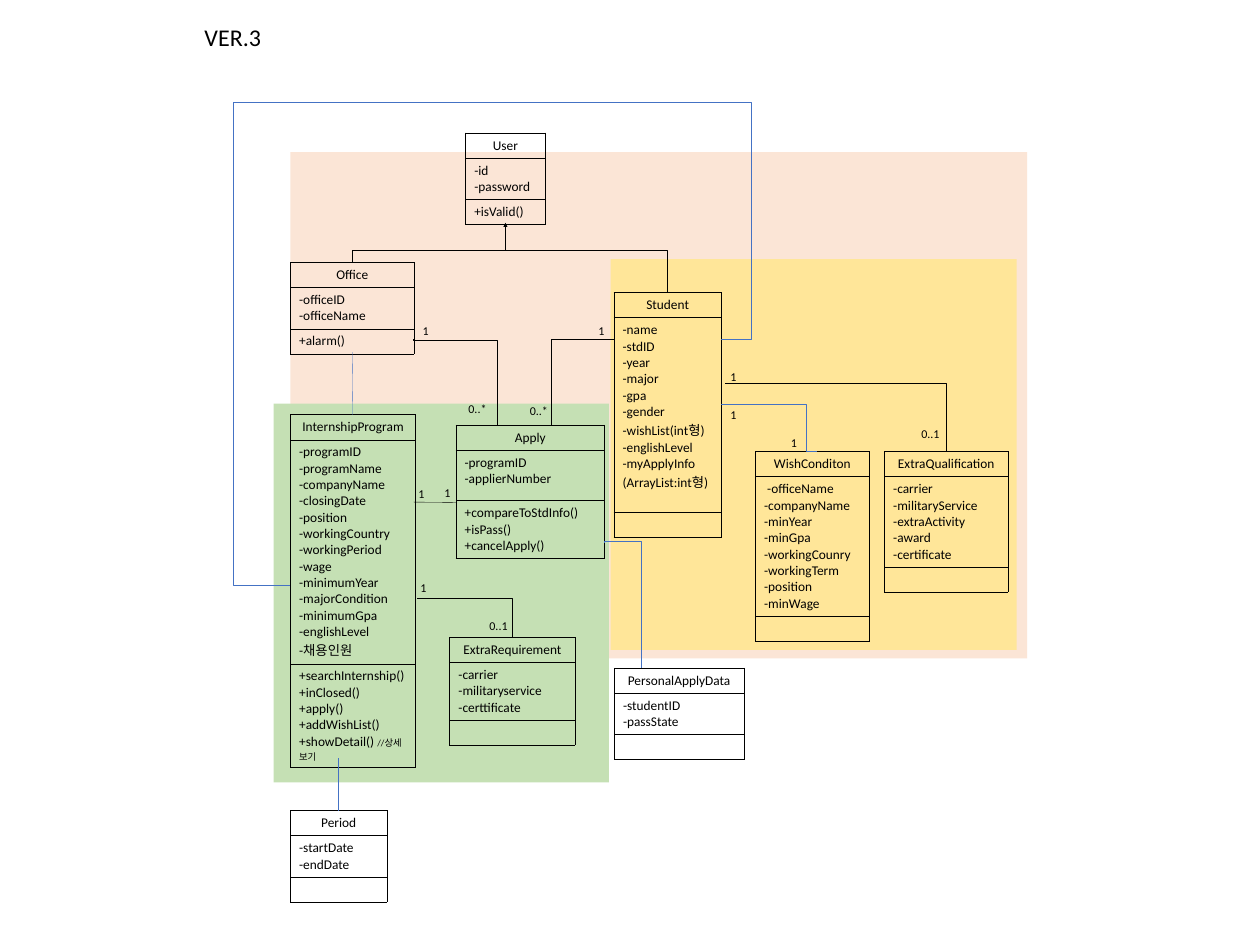
import pptx
import pptx.util
import pptx.dml.color
import pptx.enum.shapes
import pptx.enum.text
import pptx.oxml
import pptx.oxml.ns

Cm, Pt = pptx.util.Cm, pptx.util.Pt
qn = pptx.oxml.ns.qn
ALIGN = pptx.enum.text.PP_ALIGN
COLORS = {"black": "000000", "blue": "4472C4", "peach": "FBE5D6",
          "yellow": "FFE699", "green": "C5E0B4"}
rgb = {name: pptx.dml.color.RGBColor.from_string(c) for name, c in COLORS.items()}
LINE_HEIGHT, CELL_PADDING = 0.86, 0.46

prs = pptx.Presentation()
prs.slide_width, prs.slide_height = Cm(66.68), Cm(50.01)
s = prs.slides.add_slide(prs.slide_layouts[6])


def add_run(p, text, size):
    r = p.add_run()
    r.text = text
    for name, value in {"name": "Calibri", "size": Pt(size)}.items():
        setattr(r.font, name, value)
    r.font.color.rgb = rgb["black"]


def add_link(color, x1, y1, x2, y2, preset, adjust=None, vertical=False):
    """Connector; a vertical one leaves its start downwards, so its box is turned."""
    bx1, by1, bx2, by2 = x1, y1, x2, y2
    if vertical:
        cx, cy = (x1 + x2) / 2, (y1 + y2) / 2
        half_w, half_h = abs(y2 - y1) / 2, abs(x2 - x1) / 2
        bx1, by1, bx2, by2 = cx - half_w, cy - half_h, cx + half_w, cy + half_h
    link = s.shapes.add_connector(pptx.enum.shapes.MSO_CONNECTOR.STRAIGHT,
                                  Cm(bx1), Cm(by1), Cm(bx2), Cm(by2))
    link.line.color.rgb = rgb[color]
    link.line.width = Pt(0.5)
    sp_pr = link._element.spPr
    sp_pr.append(pptx.oxml.parse_xml(
        f'<a:effectLst {pptx.oxml.ns.nsdecls("a")}/>'))
    geometry = sp_pr.find(qn("a:prstGeom"))
    geometry.set("prst", preset)
    if adjust is not None:
        geometry.find(qn("a:avLst")).append(pptx.oxml.parse_xml(
            f'<a:gd {pptx.oxml.ns.nsdecls("a")} name="adj1" fmla="val {adjust}"/>'))
    if vertical:
        xfrm = sp_pr.find(qn("a:xfrm"))
        xfrm.set("rot", str((270 if x2 > x1 else 90) * 60000))
        if x2 > x1:
            xfrm.set("flipH", "1")
    return link


# Package areas
for color, x, y, w, h in [("peach", 15.37, 8.05, 38.99, 26.8),
                          ("yellow", 32.31, 13.72, 21.49, 20.68),
                          ("green", 14.48, 21.36, 17.75, 20.04)]:
    area = s.shapes.add_shape(pptx.enum.shapes.MSO_SHAPE.RECTANGLE,
                              Cm(x), Cm(y), Cm(w), Cm(h))
    area.shadow.inherit = False
    area.fill.solid()
    area.fill.fore_color.rgb = rgb[color]
    area.line.fill.background()

# Classes: name, left, top, width, attributes, operations
classes = [
    ("User", 24.64, 7.04, 4.22, ["-id", "-password"], ["+isValid()"]),
    ("Office", 15.37, 13.89, 6.55, ["-officeID", "-officeName"], ["+alarm()"]),
    ("Apply", 24.13, 22.5, 7.87, ["-programID", "-applierNumber"],
     ["+compareToStdInfo()", "+isPass()", "+cancelApply()"]),
    ("Student", 32.49, 15.49, 5.69,
     ["-name", "-stdID", "-year", "-major", "-gpa", "-gender", "-wishList(int형)",
      "-englishLevel", "-myApplyInfo (ArrayList:int형)"], []),
    ("InternshipProgram", 15.37, 21.95, 6.63,
     ["-programID", "-programName", "-companyName", "-closingDate", "-position",
      "-workingCountry", "-workingPeriod", "-wage", "-minimumYear",
      "-majorCondition", "-minimumGpa", "-englishLevel", "-채용인원"],
     ["+searchInternship()", "+inClosed()", "+apply()", "+addWishList()",
      "+showDetail() //상세보기"]),
    ("WishConditon", 39.98, 23.9, 6.02,
     [" -officeName", "-companyName", "-minYear", "-minGpa", "-workingCounry",
      "-workingTerm", "-position", "-minWage"], []),
    ("ExtraQualification", 46.81, 23.9, 6.53,
     ["-carrier", "-militaryService", "-extraActivity", "-award", "-certificate"], []),
    ("ExtraRequirement", 23.8, 33.73, 6.63,
     ["-carrier", "-militaryservice", "-certtificate"], []),
    ("PersonalApplyData", 32.51, 35.36, 6.86, ["-studentID", "-passState"], []),
    ("Period", 15.37, 42.9, 5.11, ["-startDate", "-endDate"], []),
]
cell_format = {"margin_left": Cm(0.46), "margin_right": Cm(0.46),
               "margin_top": Cm(0.23), "margin_bottom": Cm(0.23)}
for name, x, y, w, attributes, operations in classes:
    sections = [[name], attributes, operations]
    heights = [max(len(lines), 1) * LINE_HEIGHT + CELL_PADDING for lines in sections]
    if name == "Apply":
        heights[1] = 2.67
    table = s.shapes.add_table(3, 1, Cm(x), Cm(y), Cm(w), Cm(sum(heights))).table
    table.first_row = table.horz_banding = False
    for i, lines in enumerate(sections):
        table.rows[i].height = Cm(heights[i])
        cell = table.cell(i, 0)
        for key, value in cell_format.items():
            setattr(cell, key, value)
        for side in "LRTB":
            cell._tc.get_or_add_tcPr().append(pptx.oxml.parse_xml(
                f'<a:ln{side} {pptx.oxml.ns.nsdecls("a")} w="12700"><a:solidFill>'
                f'<a:srgbClr val="{COLORS["black"]}"/></a:solidFill></a:ln{side}>'))
        cell.fill.background()
        tf = cell.text_frame
        for j, line in enumerate(lines):
            p = tf.paragraphs[0] if j == 0 else tf.add_paragraph()
            p.alignment = ALIGN.CENTER if i == 0 else ALIGN.LEFT
            member, mark, remark = line.partition("//")
            add_run(p, member, 20)
            if mark:
                add_run(p, mark + remark, 14)

# Elbow links
for link in [
    ("black", 38.38, 20.27, 50.09, 23.9, "bentConnector2"),
    ("black", 22.07, 31.67, 27.1, 33.73, "bentConnector2"),
    ("black", 18.64, 13.89, 35.33, 15.49, "bentConnector3", -39500, True),
    ("black", 21.89, 17.96, 26.29, 22.5, "bentConnector3", 600, True),
    ("black", 32.49, 18.19, 29.16, 22.5, "bentConnector3", -5400, True),
    ("blue", 38.18, 21.41, 43.26, 23.9, "bentConnector3", 88300),
    ("blue", 32, 28.73, 33.93, 35.33, "bentConnector3", -1200, True),
    ("blue", 12.34, 5.41, 15.37, 30.96, "bentConnector2", None, True),
    ("blue", 12.34, 5.41, 38.18, 17.96, "bentConnector3", 106000),
]:
    add_link(*link)

# Straight links
for color, x1, y1, x2, y2 in [("black", 21.89, 26.57, 24.13, 26.59),
                              ("blue", 17.91, 40.13, 17.91, 42.9),
                              ("blue", 18.64, 18.64, 18.67, 21.95)]:
    add_link(color, x1, y1, x2, y2, "line")

# Inheritance arrow
arrow = add_link("black", 26.75, 13.26, 26.75, 11.79, "line")
arrow.line._get_or_add_ln().append(pptx.oxml.parse_xml(
    f'<a:tailEnd {pptx.oxml.ns.nsdecls("a")} type="triangle"/>'))

# Title and multiplicities
labels = [("VER.3", 10.57, 1.09, 8.13, 1.8, 36)]
for text, places in {
    "1": [(22.12, 16.97), (23.27, 25.58), (31.42, 17.02), (38.4, 21.46),
          (41.61, 22.94), (38.4, 19.43), (21.89, 25.6), (22, 30.58)],
    "0..*": [(27.79, 21.21), (24.54, 21.13)],
    "0..1": [(48.51, 22.45), (25.65, 32.61)],
}.items():
    labels += [(text, x, y, 1.68, 1.02, 18) for x, y in places]
for text, x, y, w, h, size in labels:
    tf = s.shapes.add_textbox(Cm(x), Cm(y), Cm(w), Cm(h)).text_frame
    tf.word_wrap = True
    add_run(tf.paragraphs[0], text, size)

prs.save("out.pptx")
